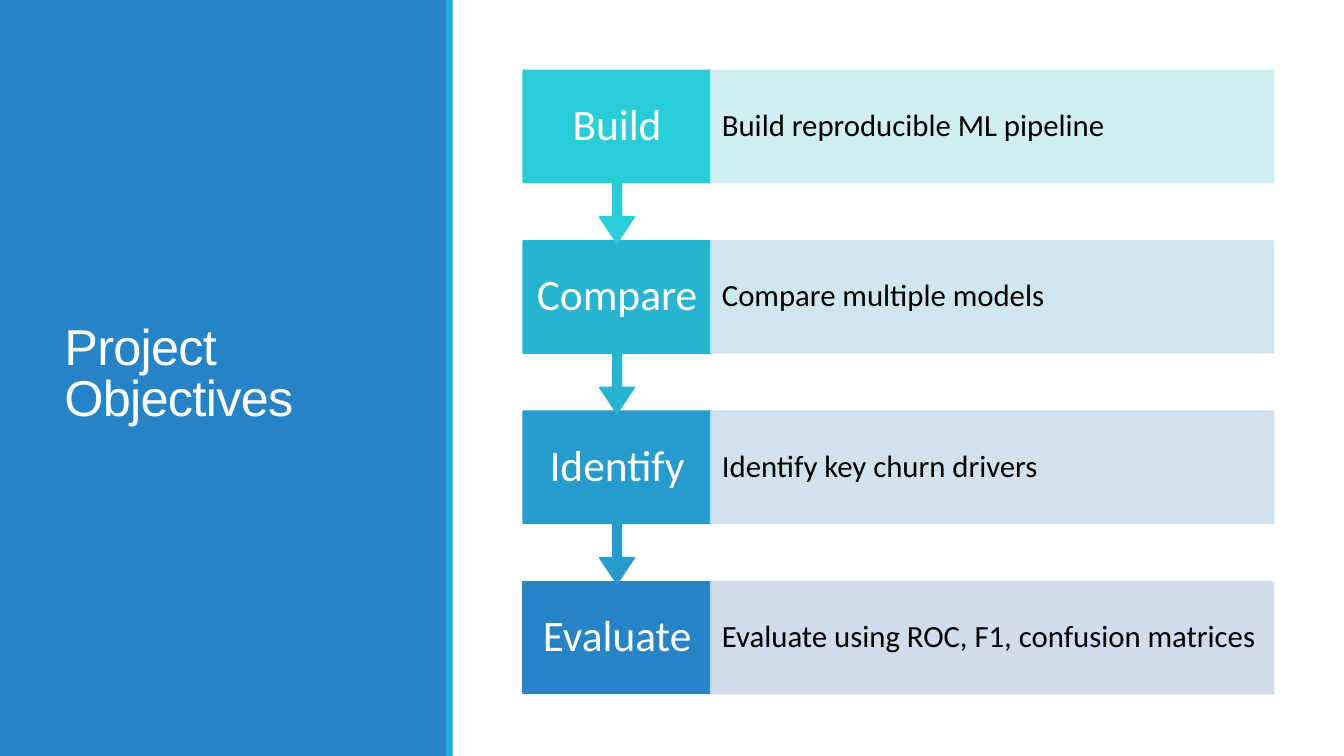
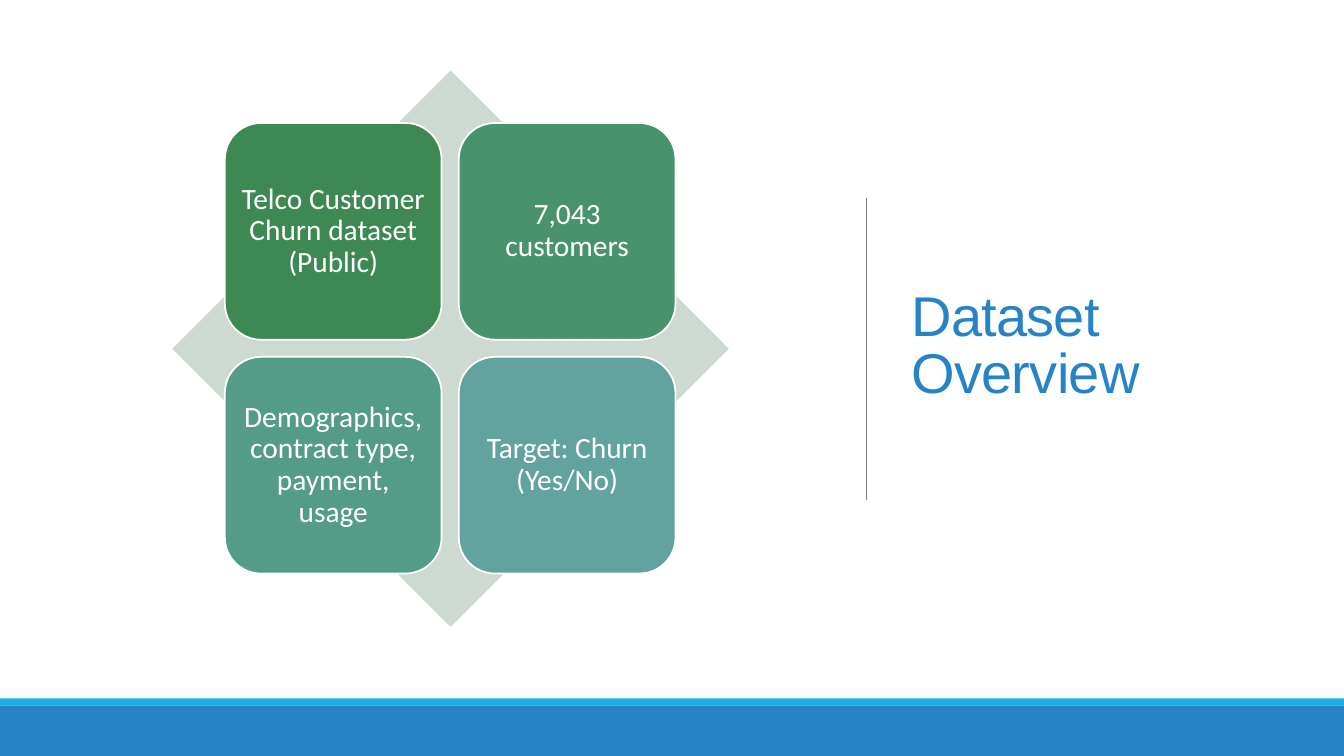
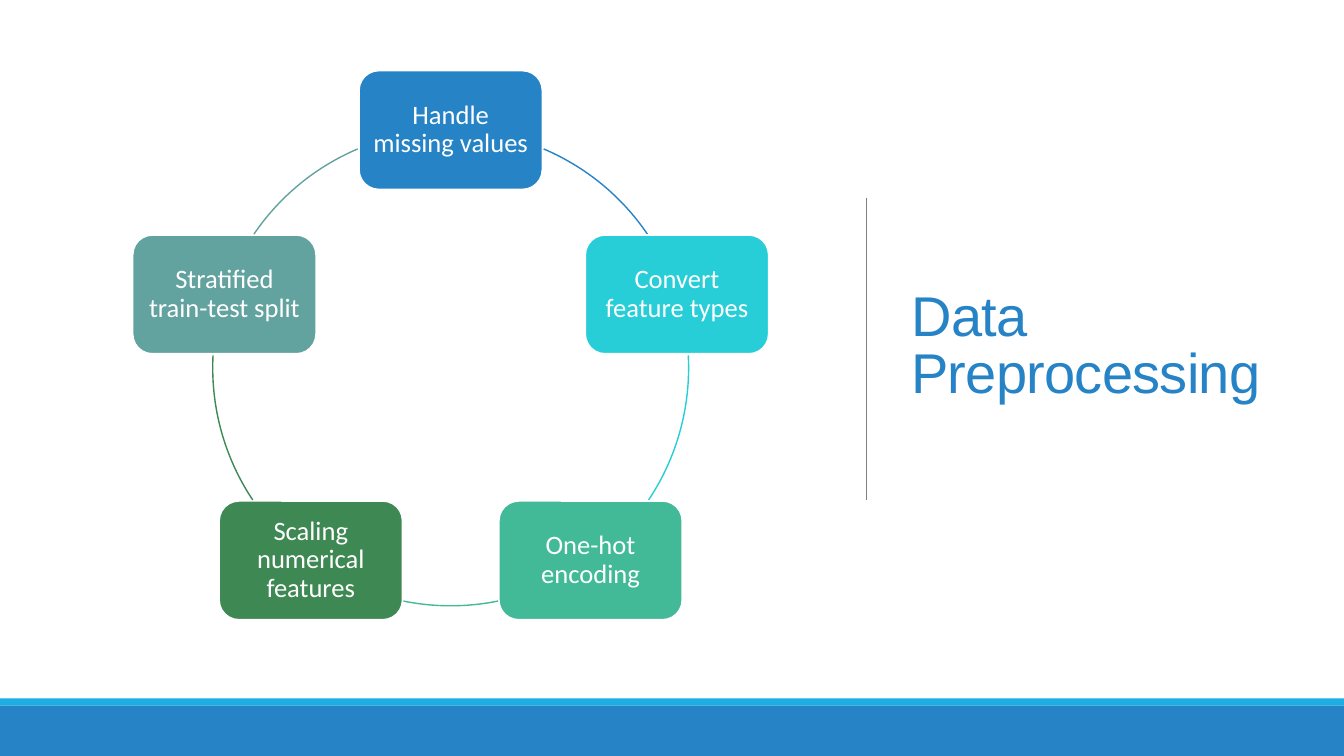
import math
from lxml import etree
from pptx import Presentation
from pptx import util as u
from pptx.dml import color
from pptx.enum import shapes, text
from pptx.oxml import ns

W, H = 13.33, 7.5
hues = {
    "blue": "2683C6", "sky": "1CADE4", "white": "FFFFFF", "black": "000000",
    "gray": "808080", "cyan": "27CED7", "teal": "27B4D1", "azure": "269BCC",
    "mint": "42BA97", "green": "3E8853", "fern": "49926E", "sea": "549C88",
    "haze": "62A39F", "sage": "CEDAD1", "ice": "CDEDF0", "mist": "CDE5EE",
    "pale": "CDDFEC", "lilac": "CDD9EA",
}
kinds = shapes.MSO_SHAPE
left, mid = text.PP_ALIGN.LEFT, text.PP_ALIGN.CENTER


def write(shape, words, size, hue="white", font="Calibri", align=mid,
          gap=0.9, pad=(0.1, 0.05), track=0):
    frame = shape.text_frame
    side, top = [u.Inches(p) for p in pad]
    form = {
        "word_wrap": True, "vertical_anchor": text.MSO_ANCHOR.MIDDLE,
        "margin_left": side, "margin_right": side,
        "margin_top": top, "margin_bottom": top,
    }
    for key, val in form.items():
        setattr(frame, key, val)
    para = frame.paragraphs[0]
    para.alignment, para.line_spacing = align, gap
    run = para.add_run()
    run.text = words
    for key, val in {"name": font, "size": u.Pt(size)}.items():
        setattr(run.font, key, val)
    run.font.color.rgb = color.RGBColor.from_string(hues[hue])
    if track:
        run.font._element.set("spc", str(track))


def draw(page, kind, box, fill=None, line=None, width=1.25):
    shape = page.shapes.add_shape(kind, *[u.Inches(n) for n in box])
    shape.shadow.inherit = False
    for part, hue in ((shape.fill, fill), (shape.line.fill, line)):
        if hue:
            part.solid()
            part.fore_color.rgb = color.RGBColor.from_string(hues[hue])
        else:
            part.background()
    if line:
        shape.line.width = u.Pt(width)
    return shape


deck = Presentation()
deck.slide_width, deck.slide_height = u.Inches(W), u.Inches(H)
goals, data, prep = pages = [
    deck.slides.add_slide(deck.slide_layouts[6]) for _ in range(3)]

draw(goals, kinds.RECTANGLE, (0, 0, W / 3, H), "blue")
draw(goals, kinds.RECTANGLE, (4.42, 0, 0.07, H), "sky")

for page in (data, prep):
    draw(page, kinds.RECTANGLE, (0, 6.93, W, 0.07), "sky")
    draw(page, kinds.RECTANGLE, (0, 7, W, 0.5), "blue")
    rule = page.shapes.add_connector(
        shapes.MSO_CONNECTOR.STRAIGHT,
        *[u.Inches(n) for n in (8.59, 1.96, 8.59, 4.96)])
    rule.line.width = u.Pt(0.5)
    rule.line.color.rgb = color.RGBColor.from_string(hues["gray"])
    etree.SubElement(rule._element.spPr, ns.qn("a:effectLst"))

side = (8.94, 0.69, 3.69, 5.53)
heads = [
    ("Project Objectives", (0.54, 0.57, 3.37, 6.31), 36, "white"),
    ("Dataset Overview", side, 40, "blue"),
    ("Data Preprocessing", side, 40, "blue"),
]
for page, (words, box, size, hue) in zip(pages, heads):
    title = page.shapes.add_textbox(*[u.Inches(n) for n in box])
    write(title, words, size, hue, "Arial", left, 0.85, track=-50)

steps = [
    ("Build", "Build reproducible ML pipeline", "cyan", "ice"),
    ("Compare", "Compare multiple models", "teal", "mist"),
    ("Identify", "Identify key churn drivers", "azure", "pale"),
    ("Evaluate", "Evaluate using ROC, F1, confusion matrices", "blue", "lilac"),
]
col, row, tall = 1.86, 1.69, 1.11
last = len(steps) - 1
for i, (verb, goal, hue, tint) in reversed(list(enumerate(steps))):
    top = 0.7 + i * row
    if i == last:
        step = draw(goals, kinds.RECTANGLE, (5.19, top, col, tall), hue, hue)
    else:
        step = draw(goals, kinds.DOWN_ARROW_CALLOUT,
                    (5.19, top, col, 1.71), hue, hue)
        for n, val in enumerate((0.05, 0.1, 0.15, 0.65)):
            step.adjustments[n] = val
    write(step, verb, 31, pad=(0.13, 0.24))
    bar = draw(goals, kinds.RECTANGLE,
               (5.19 + col, top, 3 * col, tall), tint, tint)
    for tone in bar._element.spPr.iter(ns.qn("a:srgbClr")):
        etree.SubElement(tone, ns.qn("a:alpha"), val="90000")
    write(bar, goal, 22, "black", align=left, pad=(0.11, 0.31))

facts = [
    ("Telco Customer Churn dataset (Public)", "green"),
    ("7,043 customers", "fern"),
    ("Demographics, contract type, payment, usage", "sea"),
    ("Target: Churn (Yes/No)", "haze"),
]
draw(data, kinds.DIAMOND, (1.71, 0.7, 5.52, 5.52), "sage")
for i, (words, hue) in enumerate(facts):
    down, over = divmod(i, 2)
    box = (2.23 + over * 2.32, 1.22 + down * 2.32, 2.15, 2.15)
    tile = draw(data, kinds.ROUNDED_RECTANGLE, box, hue, "white")
    write(tile, words, 21, pad=(0.06, 0.09))

tasks = [
    ("Handle missing values", "blue", 293, 325.8),
    ("Convert feature types", "cyan", 357, 33.7),
    ("One-hot encoding", "mint", 78.5, 101.5),
    ("Scaling numerical features", "green", 146.3, 183),
    ("Stratified train-test split", "haze", 214.2, 247),
]
x, y, r = 4.47, 3.65, 2.36
wide, high = 1.82, 1.18
for i, (words, hue, start, end) in enumerate(tasks):
    turn = math.tau * i / len(tasks)
    box = (x + r * math.sin(turn) - wide / 2,
           y - r * math.cos(turn) - high / 2, wide, high)
    node = draw(prep, kinds.ROUNDED_RECTANGLE, box, hue, "white")
    write(node, words, 19, pad=(0.08, 0.08))
    arc = draw(prep, kinds.ARC, (x - r, y - r, 2 * r, 2 * r), None, hue, 1)
    for n, angle in enumerate((start, end)):
        arc.adjustments[n] = angle * 0.6

deck.save("out.pptx")
